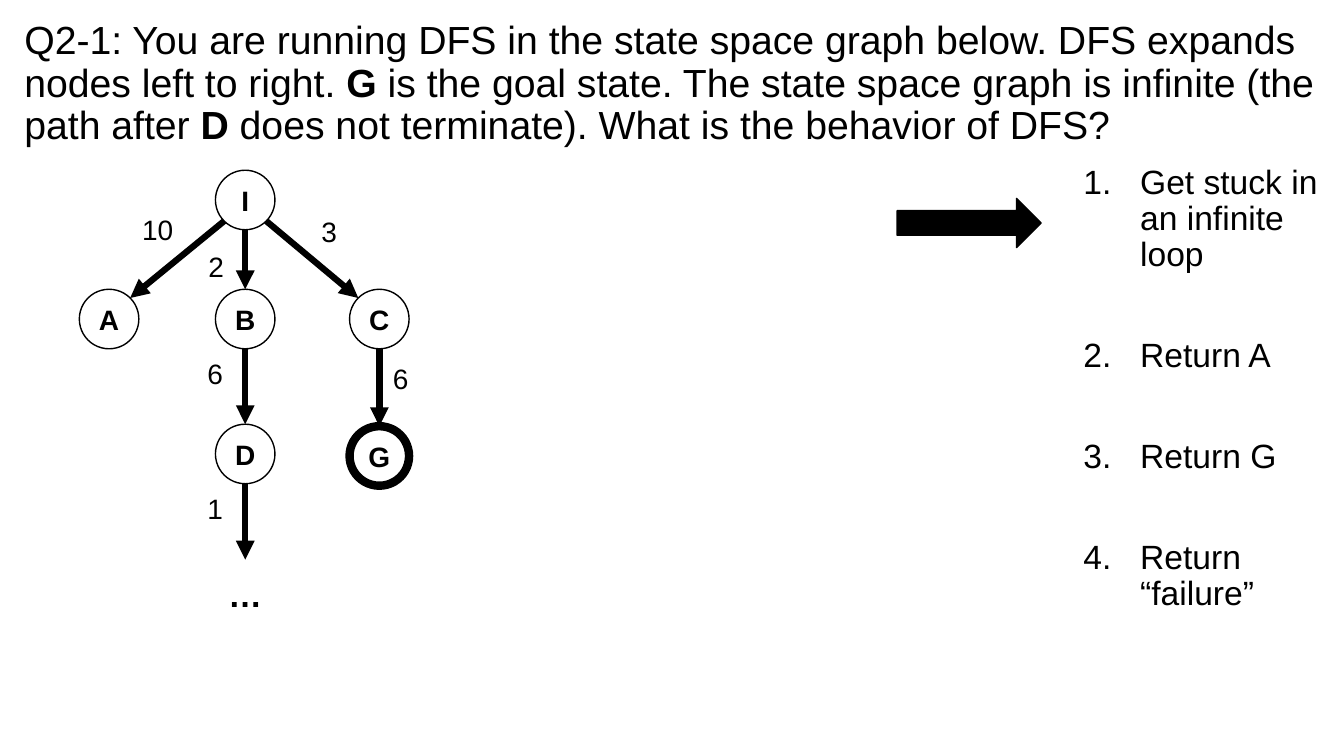
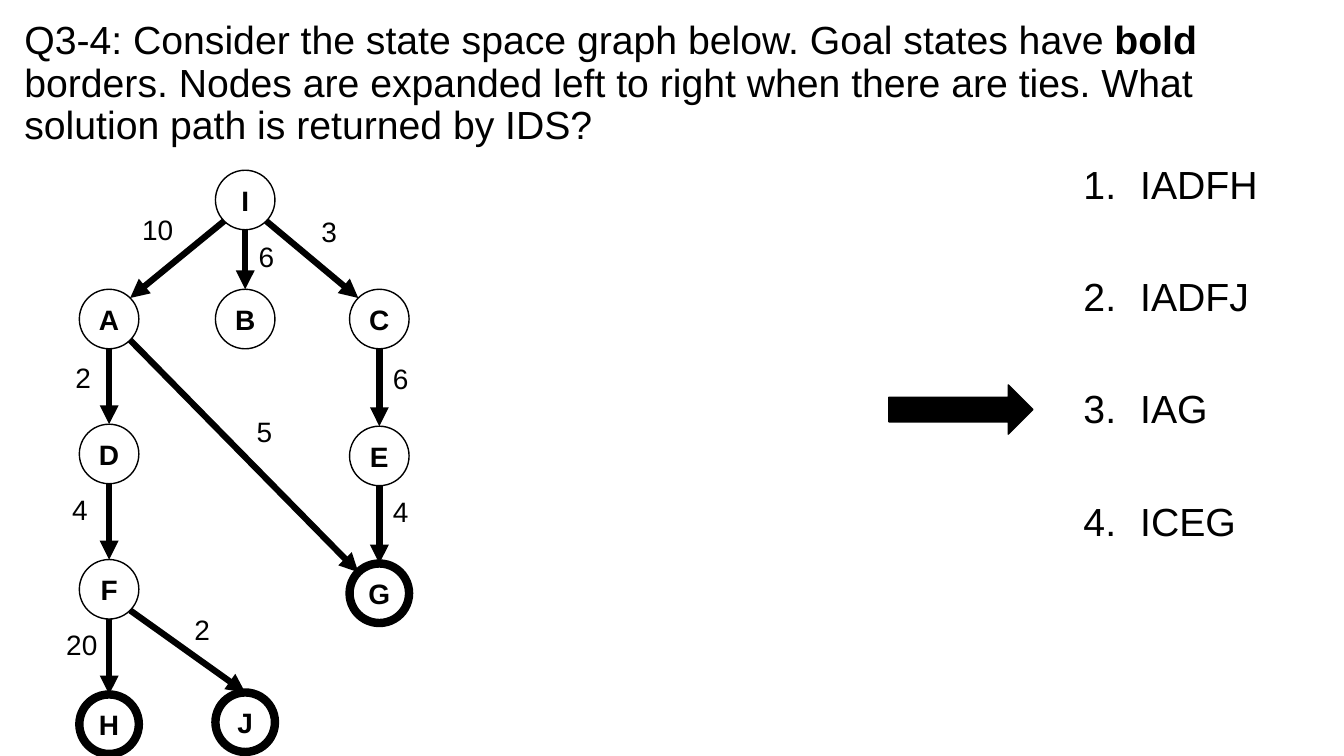
from dataclasses import dataclass
from enum import IntEnum

from lxml.etree import SubElement
from pptx import Presentation
from pptx.dml.color import RGBColor
from pptx.enum.shapes import MSO_CONNECTOR as Connector, MSO_SHAPE as Preset
from pptx.enum.text import MSO_ANCHOR as Anchor, MSO_AUTO_SIZE as AutoSize, PP_ALIGN as Align
from pptx.oxml.ns import qn
from pptx.util import Cm, Pt

BLACK = RGBColor(0x00, 0x00, 0x00)
WHITE = RGBColor(0xFF, 0xFF, 0xFF)
FONT = "Arial"
TITLE_SIZE = 28
GRAPH_SIZE = 20
NODE_SIZE = 1.5
LEFT_COLUMN, MIDDLE_COLUMN, RIGHT_COLUMN = 2.75, 6.18, 9.56
ROOT_ROW, CHILD_ROW, THIRD_ROW, FOURTH_ROW, LEAF_ROW = 5.04, 8.04, 11.44, 14.85, 18.25
ELLIPSIS = "…"
PLACEHOLDER_BOXES = {0: (0.36, 0.43, 33.12, 3.4), 1: (27.05, 4.04, 6.43, 14.81)}


class Site(IntEnum):
    TOP = 0
    TOP_LEFT = 1
    BOTTOM_LEFT = 3
    BOTTOM = 4
    BOTTOM_RIGHT = 5
    TOP_RIGHT = 7


DIAGONAL = 0.5 ** 0.5
SITE_DIRECTIONS = {
    Site.TOP: (0, -1),
    Site.TOP_LEFT: (-DIAGONAL, -DIAGONAL),
    Site.BOTTOM_LEFT: (-DIAGONAL, DIAGONAL),
    Site.BOTTOM: (0, 1),
    Site.BOTTOM_RIGHT: (DIAGONAL, DIAGONAL),
    Site.TOP_RIGHT: (DIAGONAL, -DIAGONAL),
}


@dataclass(frozen=True)
class Node:
    name: str
    x: float
    y: float
    goal: bool = False


@dataclass(frozen=True)
class Edge:
    source: str
    target: str
    weight: str
    label_left: float
    label_top: float
    start: Site = Site.BOTTOM
    end: Site = Site.TOP


@dataclass(frozen=True)
class Question:
    title: tuple[tuple[str, bool], ...]
    answers: tuple[str, ...]
    answer_size: int
    answer_gap: int
    arrow_left: float
    arrow_top: float
    nodes: tuple[Node, ...]
    edges: tuple[Edge, ...]


SHARED_NODES = (
    Node("I", MIDDLE_COLUMN, ROOT_ROW),
    Node("A", LEFT_COLUMN, CHILD_ROW),
    Node("B", MIDDLE_COLUMN, CHILD_ROW),
    Node("C", RIGHT_COLUMN, CHILD_ROW),
)
SHARED_EDGES = (
    Edge("I", "A", "10", 3.33, 5.23, Site.BOTTOM_LEFT, Site.TOP_RIGHT),
    Edge("I", "C", "3", 7.85, 5.28, Site.BOTTOM_RIGHT, Site.TOP_LEFT),
)

QUESTIONS = (
    Question(
        title=(
            ("Q2-1: You are running DFS in the state space graph below. "
             "DFS expands nodes left to right. ", False),
            ("G", True),
            (" is the goal state. The state space graph is infinite (the path after ", False),
            ("D", True),
            (" does not terminate). What is the behavior of DFS?", False),
        ),
        answers=("Get stuck in an infinite loop", "Return A", "Return G", "Return “failure”"),
        answer_size=24,
        answer_gap=36,
        arrow_left=22.61,
        arrow_top=5.0,
        nodes=SHARED_NODES + (
            Node("D", MIDDLE_COLUMN, THIRD_ROW),
            Node("G", RIGHT_COLUMN, 11.49, goal=True),
            Node(ELLIPSIS, MIDDLE_COLUMN, FOURTH_ROW),
        ),
        edges=SHARED_EDGES + (
            Edge("I", "B", "2", 5.0, 6.17),
            Edge("B", "D", "6", 4.98, 8.86),
            Edge("C", "G", "6", 9.65, 8.99),
            Edge("D", ELLIPSIS, "1", 4.98, 12.27),
        ),
    ),
    Question(
        title=(
            ("Q3-4: Consider the state space graph below. Goal states have ", False),
            ("bold", True),
            (" borders. Nodes are expanded left to right when there are ties. "
             "What solution path is returned by IDS?", False),
        ),
        answers=("IADFH", "IADFJ", "IAG", "ICEG"),
        answer_size=28,
        answer_gap=40,
        arrow_left=22.4,
        arrow_top=9.7,
        nodes=SHARED_NODES + (
            Node("D", LEFT_COLUMN, THIRD_ROW),
            Node("E", RIGHT_COLUMN, 11.49),
            Node("F", LEFT_COLUMN, FOURTH_ROW),
            Node("G", RIGHT_COLUMN, 14.95, goal=True),
            Node("H", LEFT_COLUMN, LEAF_ROW, goal=True),
            Node("J", MIDDLE_COLUMN, 18.2, goal=True),
        ),
        edges=SHARED_EDGES + (
            Edge("I", "B", "6", 6.27, 5.92),
            Edge("A", "D", "2", 1.65, 8.97),
            Edge("A", "G", "5", 6.22, 10.31, Site.BOTTOM_RIGHT, Site.TOP_LEFT),
            Edge("C", "E", "6", 9.65, 8.99),
            Edge("D", "F", "4", 1.57, 12.29),
            Edge("E", "G", "4", 9.65, 12.34),
            Edge("F", "H", "20", 1.42, 15.7),
            Edge("F", "J", "2", 4.65, 15.32, Site.BOTTOM_RIGHT),
        ),
    ),
)


def format_runs(paragraph, size: int, bold: bool = False) -> None:
    for run in paragraph.runs:
        run.font.name = FONT
        run.font.size = Pt(size)
        run.font.bold = bold
        run.font.color.rgb = BLACK


def prepare_layout(layout) -> None:
    for placeholder in layout.placeholders:
        box = PLACEHOLDER_BOXES.get(placeholder.placeholder_format.idx)
        if box:
            placeholder.left, placeholder.top, placeholder.width, placeholder.height = map(Cm, box)


def fill_title(slide, parts: tuple[tuple[str, bool], ...]) -> None:
    text_frame = slide.shapes.title.text_frame
    text_frame.auto_size = AutoSize.NONE
    text_frame.vertical_anchor = Anchor.MIDDLE
    paragraph = text_frame.paragraphs[0]
    paragraph.alignment = Align.LEFT
    paragraph.line_spacing = 0.9
    for text, _ in parts:
        paragraph.add_run().text = text
    format_runs(paragraph, TITLE_SIZE)
    for run, (_, bold) in zip(paragraph.runs, parts):
        run.font.bold = bold


def fill_answers(slide, question: Question) -> None:
    text_frame = slide.placeholders[1].text_frame
    text_frame.text = "\n".join(question.answers)
    text_frame.auto_size = AutoSize.NONE
    for paragraph in text_frame.paragraphs:
        paragraph.line_spacing = 0.9
        paragraph.space_before = Pt(10)
        paragraph.space_after = Pt(question.answer_gap)
        format_runs(paragraph, question.answer_size)
        properties = paragraph._p.get_or_add_pPr()
        properties.set("marL", str(Cm(1.43)))
        properties.set("indent", str(-Cm(1.43)))
        SubElement(properties, qn("a:buFont"), typeface=FONT)
        SubElement(properties, qn("a:buAutoNum"), type="arabicPeriod")


def add_preset(slide, preset: Preset, box: tuple[float, ...], fill: RGBColor, line_width: float):
    shape = slide.shapes.add_shape(preset, *map(Cm, box))
    shape.shadow.inherit = False
    shape.fill.solid()
    shape.fill.fore_color.rgb = fill
    shape.line.color.rgb = BLACK
    shape.line.width = Pt(line_width)
    return shape


def add_node(slide, node: Node):
    box = (node.x - NODE_SIZE / 2, node.y - NODE_SIZE / 2, NODE_SIZE, NODE_SIZE)
    continues = node.name == ELLIPSIS
    if continues:
        shape = slide.shapes.add_textbox(*map(Cm, box))
    else:
        shape = add_preset(slide, Preset.OVAL, box, WHITE, 6 if node.goal else 1)
    text_frame = shape.text_frame
    text_frame.text = node.name
    text_frame.word_wrap = False
    text_frame.margin_left = text_frame.margin_right = 0
    text_frame.vertical_anchor = Anchor.BOTTOM if continues else Anchor.MIDDLE
    paragraph = text_frame.paragraphs[0]
    paragraph.alignment = Align.CENTER
    format_runs(paragraph, 24 if continues else GRAPH_SIZE, bold=True)
    return shape


def site_point(node: Node, site: Site) -> tuple[Cm, Cm]:
    across, down = SITE_DIRECTIONS[site]
    return Cm(node.x + across * NODE_SIZE / 2), Cm(node.y + down * NODE_SIZE / 2)


def add_edge(slide, edge: Edge, nodes: dict[str, Node], shapes: dict) -> None:
    connector = slide.shapes.add_connector(
        Connector.STRAIGHT,
        *site_point(nodes[edge.source], edge.start),
        *site_point(nodes[edge.target], edge.end),
    )
    connector.line.color.rgb = BLACK
    connector.line.width = Pt(4.5)
    SubElement(connector.line._get_or_add_ln(), qn("a:tailEnd"), type="triangle")
    SubElement(connector._element.spPr, qn("a:effectLst"))
    links = connector._element.find(".//" + qn("p:cNvCxnSpPr"))
    ends = (("a:stCxn", edge.source, edge.start), ("a:endCxn", edge.target, edge.end))
    for tag, name, site in ends:
        SubElement(links, qn(tag), id=str(shapes[name].shape_id), idx=str(int(site)))


def add_weight(slide, edge: Edge) -> None:
    label = slide.shapes.add_textbox(
        Cm(edge.label_left), Cm(edge.label_top), Cm(1.4), Cm(1.1)
    )
    label.text_frame.text = edge.weight
    label.text_frame.word_wrap = True
    format_runs(label.text_frame.paragraphs[0], GRAPH_SIZE)


def add_question(presentation, layout, question: Question) -> None:
    slide = presentation.slides.add_slide(layout)
    fill_title(slide, question.title)
    fill_answers(slide, question)
    nodes = {node.name: node for node in question.nodes}
    shapes = {node.name: add_node(slide, node) for node in question.nodes}
    for edge in question.edges:
        add_edge(slide, edge, nodes, shapes)
        add_weight(slide, edge)
    arrow_box = (question.arrow_left, question.arrow_top, 3.63, 1.24)
    add_preset(slide, Preset.RIGHT_ARROW, arrow_box, BLACK, 1)


def main() -> None:
    presentation = Presentation()
    presentation.slide_width = Cm(33.87)
    presentation.slide_height = Cm(19.05)
    layout = presentation.slide_layouts[1]
    prepare_layout(layout)
    for question in QUESTIONS:
        add_question(presentation, layout, question)
    presentation.save("out.pptx")


if __name__ == "__main__":
    main()
